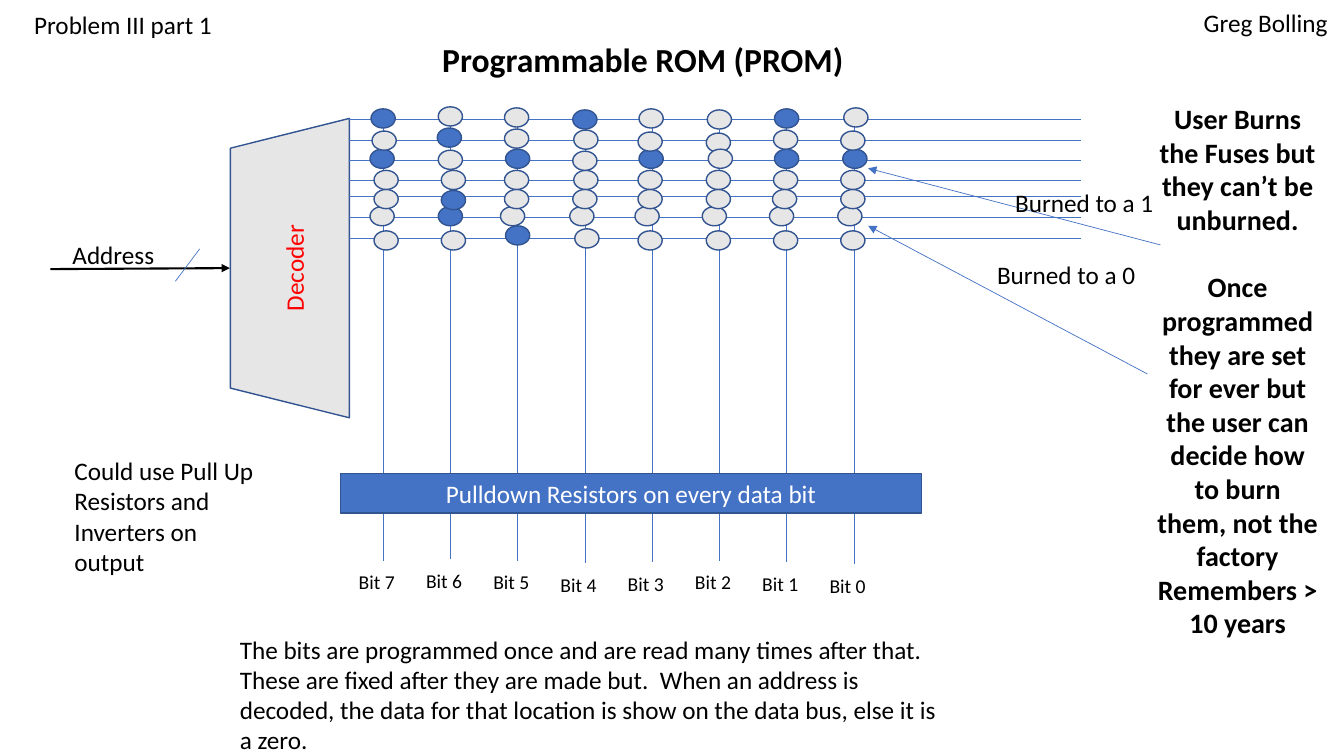
from lxml import etree
from pptx import Presentation
from pptx.dml.color import RGBColor
from pptx.enum.shapes import MSO_CONNECTOR, MSO_SHAPE
from pptx.enum.text import MSO_ANCHOR, MSO_AUTO_SIZE, PP_ALIGN
from pptx.oxml.ns import qn
from pptx.util import Inches, Pt

BLUE, EDGE, GREY, BLACK, WHITE, RED = (
    "4472C4", "325491", "E7E6E6", "000000", "FFFFFF", "FF0000")

# Content: text boxes as (paragraphs, left, top, width, height, format)
PLAIN = {"size": 18}
CAPTIONS = [
    (["Address"], 0.62, 2.33, 1.18, 0.4, PLAIN),
    (["Programmable ROM (PROM)"], 4, 0.34, 4.75, 0.5,
     {"size": 24, "bold": True, "align": PP_ALIGN.CENTER}),
    (["The bits are programmed once and are read many times after that.  "
      "These are fixed after they are made but.  When an address is decoded, "
      "the data for that location is show on the data bus, else it is a zero."],
     2.28, 6.24, 7.25, 1.31, PLAIN),
    (["User Burns the Fuses but they can’t be unburned.",
      "Once programmed they are set for ever but the user can decide how to "
      "burn them, not the factory",
      "Remembers > 10 years"], 11.38, 0.96, 1.79, 5.49,
     {"size": 20, "bold": True, "align": PP_ALIGN.CENTER, "gaps": {1: 24}}),
    (["Burned to a 1"], 9.97, 1.81, 2.15, 0.4, PLAIN),
    (["Burned to a 0"], 9.79, 2.52, 2.15, 0.4, PLAIN),
    (["Could use Pull Up Resistors and Inverters on output"],
     0.64, 4.47, 2.15, 1.31, PLAIN),
    (["Problem III part 1"], 0.24, 0.04, 6.67, 0.4, PLAIN),
    (["Greg Bolling"], 11.84, 0.02, 1.5, 0.4, PLAIN),
]

# Lines as (start, end, colour, width, arrowhead)
ADDRESS_LINES = [
    ((0.5, 2.67), (2.28, 2.66), BLACK, 1.5, True),
    ((1.98, 2.47), (1.74, 2.79), BLUE, 0.5, False),
]
POINTERS = [
    ((11.51, 2.43), (8.61, 1.67), BLUE, 0.5, True),
    ((11.38, 3.71), (8.61, 2.24), BLUE, 0.5, True),
]

# Word lines run across, bit lines run down
WORD_LINES = [1.18, 1.39, 1.59, 1.79, 1.95, 2.16, 2.36]
WORD_LEFT, WORD_RIGHT = 3.46, 10.72
BIT_TOPS = [1.18, 1.16, 1.18, 1.2, 1.19, 1.18, 1.19, 1.21]
BIT_LEFT, BIT_PITCH, BIT_LENGTH = 3.8, 0.667, 4.39

# Fuse rows, back to front: top, burned bits (1 = burned),
# then sideways and downward nudges in hundredths of an inch
FUSE_W, FUSE_H = 0.24, 0.19
LEVEL = (0,) * 8
FUSES = [
    (1.08, "10010010", (0, 0, -1, 0, -1, 0, 0, 2), (0, -2, -1, 1, 0, 1, 0, -1)),
    (1.29, "01000000", (1, -1, -1, 1, -2, -1, -1, -1), (1, -2, -1, 0, 2, 3, 0, 1)),
    (1.69, "00000000", (3, 3, -1, 1, -2, -1, -1, -1), LEVEL),
    (2.05, "01000000", (-1, 0, -5, -3, -5, -5, -5, -4), LEVEL),
    (2.29, "00100000", (3, 3, 0, 2, -2, -1, -1, -1), (0, 0, -5, -2, 0, 0, 0, 0)),
    (1.88, "01000000", (3, 3, -1, 0, -2, -1, -2, -1), (0, 1, 0, 0, 0, 0, 0, 0)),
    (1.48, "10101011", (-1, 0, 0, 0, -1, 1, 0, 1), (0, 1, 0, 2, 0, 0, 0, 0)),
]

prs = Presentation()
prs.slide_width, prs.slide_height = Inches(13.33), Inches(7.5)
slide = prs.slides.add_slide(prs.slide_layouts[6])
shapes = slide.shapes


def rgb(value):
    return RGBColor.from_string(value)


def write(frame, paragraphs, size, color=BLACK, bold=False,
          align=PP_ALIGN.LEFT, gaps=None):
    frame.word_wrap = True
    for i, words in enumerate(paragraphs):
        para = frame.paragraphs[0] if i == 0 else frame.add_paragraph()
        para.alignment = align
        if gaps and i in gaps:
            para.space_before = Pt(gaps[i])
        run = para.add_run()
        run.text = words
        for name, value in {"name": "Calibri", "size": Pt(size), "bold": bold}.items():
            setattr(run.font, name, value)
        run.font.color.rgb = rgb(color)


def caption(paragraphs, left, top, width, height, style):
    frame = shapes.add_textbox(*map(Inches, (left, top, width, height))).text_frame
    write(frame, paragraphs, **style)
    frame.auto_size = MSO_AUTO_SIZE.SHAPE_TO_FIT_TEXT


def block(kind, left, top, width, height, fill, label=None, color=WHITE):
    shape = shapes.add_shape(kind, *map(Inches, (left, top, width, height)))
    shape.shadow.inherit = False
    shape.fill.solid()
    shape.fill.fore_color.rgb = rgb(fill)
    shape.line.color.rgb = rgb(EDGE)
    shape.line.width = Pt(1)
    if label:
        shape.text_frame.vertical_anchor = MSO_ANCHOR.MIDDLE
        write(shape.text_frame, [label], 18, color, align=PP_ALIGN.CENTER)
    return shape


def wire(start, end, color=BLUE, width=0.5, arrow=False):
    line = shapes.add_connector(MSO_CONNECTOR.STRAIGHT, *map(Inches, start + end))
    line.line.color.rgb = rgb(color)
    line.line.width = Pt(width)
    if arrow:
        etree.SubElement(line.line._get_or_add_ln(), qn("a:tailEnd"), type="triangle")
    etree.SubElement(line._element.spPr, qn("a:effectLst"))


# Decoder and its address input
decoder = block(MSO_SHAPE.TRAPEZOID, 1.39, 2.07, 2.97, 1.18, GREY, "Decoder", RED)
decoder.rotation = 270
for parts in ADDRESS_LINES:
    wire(*parts)

# Word lines and labelled bit lines
for y in WORD_LINES:
    wire((WORD_LEFT, y), (WORD_RIGHT, y))
bit_xs = [BIT_LEFT + BIT_PITCH * column for column in range(len(BIT_TOPS))]
for column, (x, top) in enumerate(zip(bit_xs, BIT_TOPS)):
    wire((x, top), (x, top + BIT_LENGTH))
    caption([f"Bit {7 - column}"], x - 0.34, top + 4.43, 0.67, 0.34, {"size": 14})

# Fuses: burned ones behind the unburned ones
for state, fill in (("1", BLUE), ("0", GREY)):
    for top, burned, across, down in FUSES:
        for x, bit, dx, dy in zip(bit_xs, burned, across, down):
            if bit == state:
                block(MSO_SHAPE.OVAL, x - FUSE_W / 2 + dx / 100, top + dy / 100,
                      FUSE_W, FUSE_H, fill)

# Resistor bar, pointers and captions
block(MSO_SHAPE.RECTANGLE, 3.38, 4.7, 5.76, 0.39, BLUE,
      "Pulldown Resistors on every data bit")
for parts in POINTERS:
    wire(*parts)
for parts in CAPTIONS:
    caption(*parts)

prs.save("out.pptx")
